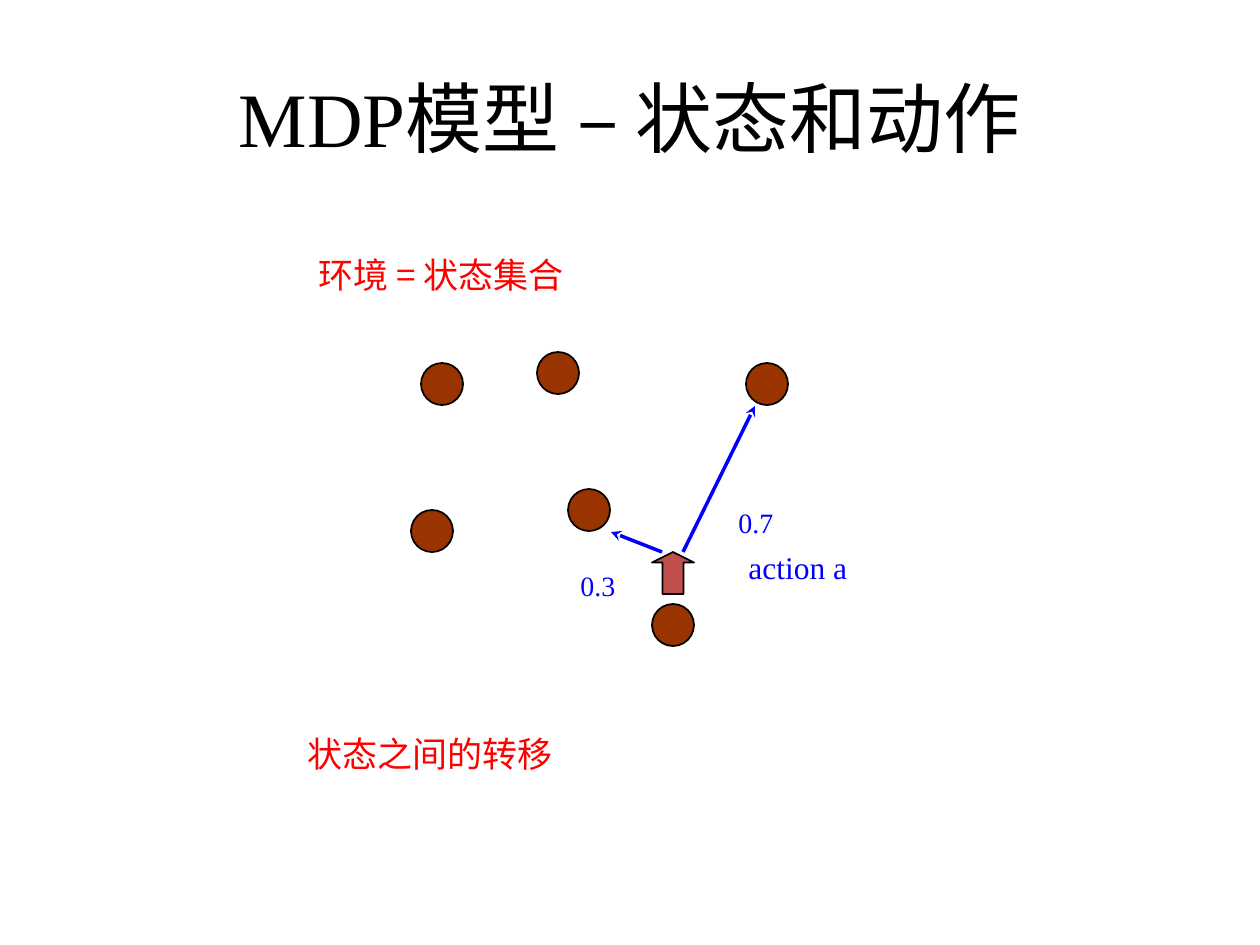
from lxml.etree import SubElement
from pptx import Presentation
from pptx.dml.color import RGBColor
from pptx.enum.shapes import MSO_CONNECTOR, MSO_SHAPE
from pptx.enum.text import MSO_ANCHOR, PP_ALIGN
from pptx.oxml.ns import qn
from pptx.util import Pt

PX = 914400 / 126
COLORS = {"title": "000000", "note": "FF0000", "action": "0000FF",
          "state": "993300", "arrow": "C0504D", "outline": "000000"}
LATIN, CJK = "Times New Roman", "Noto Sans CJK SC"

# Content: text runs are (text, Latin font), positions are in px
TITLE = [("MDP", LATIN), ("模型 ", CJK), ("– 状态和动作", LATIN)]
NOTES = [("环境 = 状态集合", (306, 247, 662, 55)),
         ("状态之间的转移", (295, 726, 525, 55))]
LABELS = [("action a", 18, (736, 542, 179, 63)),
          ("0.3", 16, (568, 562, 84, 47)),
          ("0.7", 16, (726, 499, 116, 47))]
SIZE = 42
STATES = [(537, 352), (421, 363), (568, 489), (411, 510), (746, 363), (652, 604)]
ACTION = (652, 552)
TRANSITIONS = [(662, 552, 611, 532), (683, 552, 755, 406)]


def px(*values):
    return [round(v * PX) for v in values]


def rgb(name):
    return RGBColor.from_string(COLORS[name])


def add_text(slide, runs, box, size, color, align=PP_ALIGN.LEFT, anchor=MSO_ANCHOR.TOP):
    tf = slide.shapes.add_textbox(*px(*box)).text_frame
    tf.word_wrap = True
    tf.vertical_anchor = anchor
    p = tf.paragraphs[0]
    p.alignment = align
    for text, font in runs:
        r = p.add_run()
        r.text = text
        r.font.size = Pt(size)
        r.font.name = font
        r.font.color.rgb = rgb(color)
        SubElement(r.font._element, qn("a:ea")).set("typeface", CJK)


def add_node(slide, kind, position, color):
    sp = slide.shapes.add_shape(kind, *px(*position, SIZE, SIZE))
    sp.shadow.inherit = False
    sp.fill.solid()
    sp.fill.fore_color.rgb = rgb(color)
    sp.line.color.rgb = rgb("outline")
    sp.line.width = Pt(1)
    return sp


def add_transition(slide, ends):
    line = slide.shapes.add_connector(MSO_CONNECTOR.STRAIGHT, *px(*ends))
    line.line.color.rgb = rgb("action")
    line.line.width = Pt(2)
    SubElement(line.line._get_or_add_ln(), qn("a:tailEnd")).set("type", "stealth")
    SubElement(line._element.spPr, qn("a:effectLst"))


prs = Presentation()
prs.slide_width, prs.slide_height = px(1260, 945)
slide = prs.slides.add_slide(prs.slide_layouts[6])

# Title
add_text(slide, TITLE, (63, 38, 1134, 157), 44, "title",
         align=PP_ALIGN.CENTER, anchor=MSO_ANCHOR.MIDDLE)

# States and the transitions between them
for position in STATES:
    add_node(slide, MSO_SHAPE.OVAL, position, "state")
for ends in TRANSITIONS:
    add_transition(slide, ends)

# Notes and labels
for text, box in NOTES:
    add_text(slide, [(text, CJK)], box, 20, "note")
for text, size, box in LABELS:
    add_text(slide, [(text, LATIN)], box, size, "action")

# Action taken in the lowest state
arrow = add_node(slide, MSO_SHAPE.UP_ARROW, ACTION, "arrow")
arrow.adjustments[0], arrow.adjustments[1] = 0.5, 0.25

prs.save("out.pptx")
